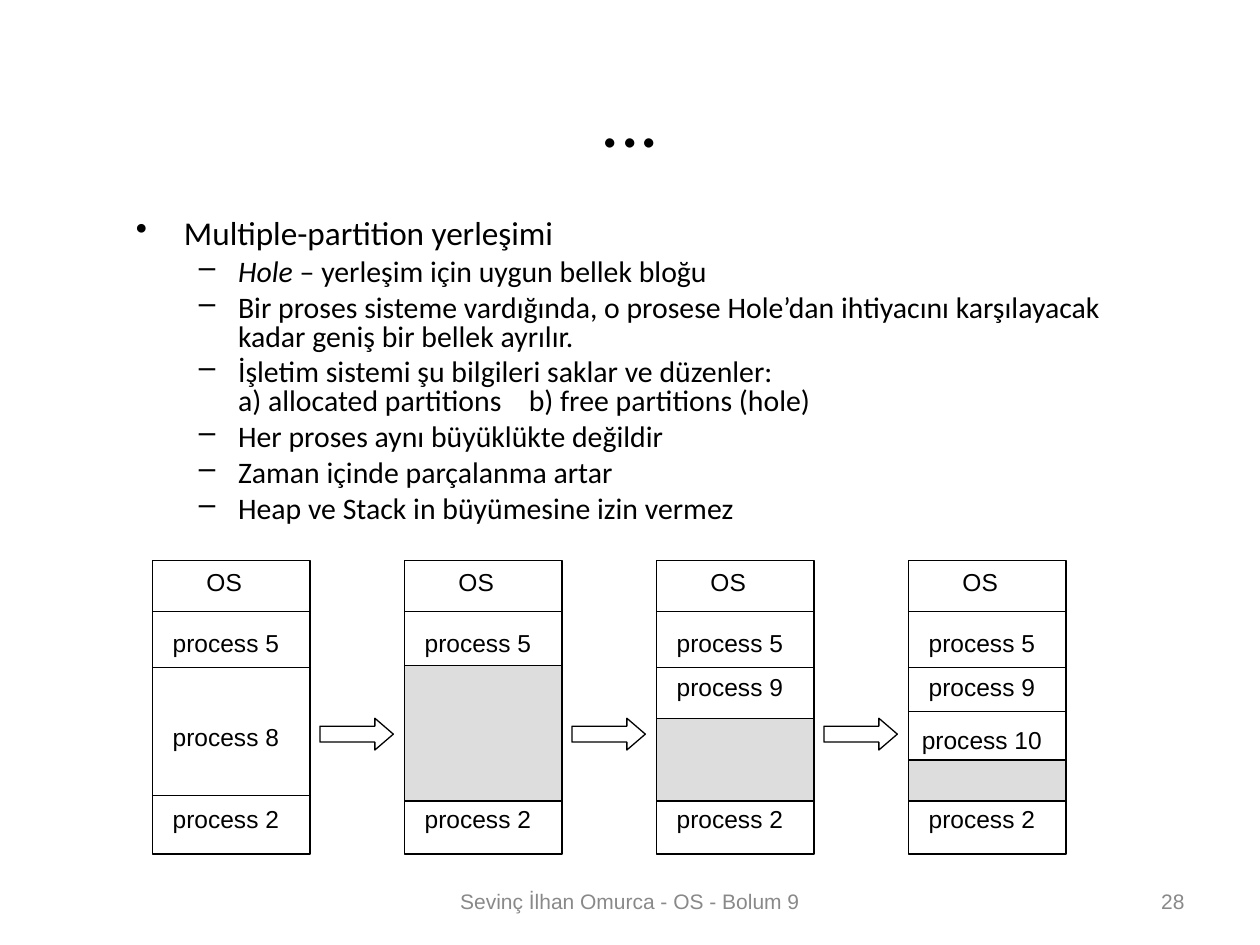
import dataclasses

import lxml.etree
import pptx
import pptx.dml.color
import pptx.enum.shapes
import pptx.enum.text
import pptx.oxml.ns
import pptx.util

Cm = pptx.util.Cm
Pt = pptx.util.Pt
Align = pptx.enum.text.PP_ALIGN
Anchor = pptx.enum.text.MSO_ANCHOR
ShapeKind = pptx.enum.shapes.MSO_SHAPE
qn = pptx.oxml.ns.qn

BLACK, WHITE, GREY, HOLE_GREY = "000000", "FFFFFF", "898989", "DDDDDD"
FIRST_LEFT, COLUMN_STEP, COLUMN_WIDTH = 3.07, 5.08, 3.18
MEMORY_TOP, MEMORY_HEIGHT = 11.3, 5.92
HOLE_BOTTOM = 16.15
LABEL_WIDTH, LABEL_HEIGHT = 2.97, 0.86
DIVIDERS = (12.32, 13.46, 16.03)
PARTITIONS_TAB = 7.92


@dataclasses.dataclass
class Label:
    text: str
    top: float


@dataclasses.dataclass
class MemoryState:
    labels: list[Label]
    hole_top: float | None = None
    extra_dividers: tuple[float, ...] = ()


@dataclasses.dataclass
class Level:
    margin: float
    hanging: float
    bullet: str
    size: float
    space_before: float


@dataclasses.dataclass
class Point:
    text: str
    level: int = 1
    italic_start: str = ""


PROCESS_9 = Label("process 9", 13.41)
STATES = [
    MemoryState([Label("process 8", 14.43)]),
    MemoryState([], 13.41),
    MemoryState([PROCESS_9], 14.48),
    MemoryState([PROCESS_9, Label("process 10", 14.48)], 15.32, (14.35,)),
]
COMMON_LABELS = [Label("process 5", 12.52), Label("process 2", 16.08)]

LEVELS = [Level(0.97, 0.97, "•", 19, 4.8), Level(2.06, 0.79, "–", 17, 4.2)]
POINTS = [
    Point("Multiple-partition yerleşimi", 0),
    Point(" – yerleşim için uygun bellek bloğu", italic_start="Hole"),
    Point("Bir proses sisteme vardığında, o prosese Hole’dan ihtiyacını "
          "karşılayacak kadar geniş bir bellek ayrılır."),
    Point("İşletim sistemi şu bilgileri saklar ve düzenler:\n"
          "a) allocated partitions\tb) free partitions (hole)"),
    Point("Her proses aynı büyüklükte değildir"),
    Point("Zaman içinde parçalanma artar"),
    Point("Heap ve Stack in büyümesine izin vermez"),
]


def set_color(color_format, value: str) -> None:
    color_format.rgb = pptx.dml.color.RGBColor.from_string(value)


def set_font(paragraph, name: str, size: float, color: str) -> None:
    paragraph.font.name = name
    paragraph.font.size = Pt(size)
    set_color(paragraph.font.color, color)


def add_text(slide, text: str, left: float, top: float, width: float, height: float,
             size: float, font: str = "Arial", color: str = BLACK,
             align=Align.CENTER, wrap: bool = True, grow: bool = False) -> None:
    frame = slide.shapes.add_textbox(Cm(left), Cm(top), Cm(width), Cm(height)).text_frame
    frame.word_wrap = wrap
    frame.vertical_anchor = Anchor.MIDDLE
    if grow:
        frame.auto_size = pptx.enum.text.MSO_AUTO_SIZE.SHAPE_TO_FIT_TEXT
    paragraph = frame.paragraphs[0]
    paragraph.text = text
    paragraph.alignment = align
    set_font(paragraph, font, size, color)


def add_block(slide, kind, left: float, top: float, width: float, height: float,
              fill: str = WHITE):
    shape = slide.shapes.add_shape(kind, Cm(left), Cm(top), Cm(width), Cm(height))
    shape.shadow.inherit = False
    shape.fill.solid()
    set_color(shape.fill.fore_color, fill)
    set_color(shape.line.color, BLACK)
    shape.line.width = Pt(0.75)
    return shape


def add_divider(slide, left: float, top: float) -> None:
    connector = slide.shapes.add_connector(
        pptx.enum.shapes.MSO_CONNECTOR.STRAIGHT,
        Cm(left), Cm(top), Cm(left + COLUMN_WIDTH), Cm(top))
    set_color(connector.line.color, BLACK)
    connector.line.width = Pt(0.75)
    lxml.etree.SubElement(connector._element.spPr, qn("a:effectLst"))


def add_bullet(paragraph, level: Level) -> None:
    properties = paragraph._p.get_or_add_pPr()
    properties.set("marL", str(Cm(level.margin)))
    properties.set("indent", str(-Cm(level.hanging)))
    lxml.etree.SubElement(properties, qn("a:buChar"), char=level.bullet)


def add_tab(paragraph, position: float) -> None:
    tabs = lxml.etree.SubElement(paragraph._p.get_or_add_pPr(), qn("a:tabLst"))
    lxml.etree.SubElement(tabs, qn("a:tab"), pos=str(Cm(position)), algn="l")


def add_points(slide, points: list[Point]) -> None:
    frame = slide.shapes.add_textbox(Cm(2.49), Cm(4.32), Cm(21), Cm(6.8)).text_frame
    frame.word_wrap = True
    for index, point in enumerate(points):
        paragraph = frame.add_paragraph() if index else frame.paragraphs[0]
        level = LEVELS[point.level]
        paragraph.level = point.level
        if point.italic_start:
            run = paragraph.add_run()
            run.text = point.italic_start
            run.font.italic = True
            paragraph.add_run().text = point.text
        else:
            paragraph.text = point.text
        add_bullet(paragraph, level)
        if "\t" in point.text:
            add_tab(paragraph, PARTITIONS_TAB)
        paragraph.line_spacing = 0.8
        if index:
            paragraph.space_before = Pt(level.space_before)
        set_font(paragraph, "Calibri", level.size, BLACK)


def add_memory(slide, state: MemoryState, left: float) -> None:
    add_block(slide, ShapeKind.RECTANGLE, left, MEMORY_TOP, COLUMN_WIDTH, MEMORY_HEIGHT)
    for top in DIVIDERS + state.extra_dividers:
        add_divider(slide, left, top)
    if state.hole_top is not None:
        add_block(slide, ShapeKind.RECTANGLE, left, state.hole_top, COLUMN_WIDTH,
                  HOLE_BOTTOM - state.hole_top, HOLE_GREY)
    add_text(slide, "OS", left + 0.84, MEMORY_TOP, 1.22, LABEL_HEIGHT, 14,
             wrap=False, grow=True)
    for label in COMMON_LABELS + state.labels:
        add_text(slide, label.text, left, label.top, LABEL_WIDTH, LABEL_HEIGHT, 14,
                 grow=True)


def add_step_arrow(slide, left: float) -> None:
    arrow = add_block(slide, ShapeKind.RIGHT_ARROW, left, 14.48, 1.48, 0.64)
    arrow.adjustments[1] = 0.58


def main() -> None:
    presentation = pptx.Presentation()
    presentation.slide_width = Cm(25.4)
    presentation.slide_height = Cm(19.05)
    slide = presentation.slides.add_slide(presentation.slide_layouts[6])

    add_text(slide, "...", 1.27, 0.76, 22.86, 3.18, 44, "Calibri")
    add_points(slide, POINTS)
    for index, state in enumerate(STATES):
        left = FIRST_LEFT + index * COLUMN_STEP
        add_memory(slide, state, left)
        if index < len(STATES) - 1:
            add_step_arrow(slide, left + COLUMN_WIDTH + 0.2)
    add_text(slide, "Sevinç İlhan Omurca - OS - Bolum 9", 8.68, 17.65, 8.04, 1.02, 12,
             color=GREY)
    add_text(slide, "28", 18.21, 17.65, 5.92, 1.02, 12, color=GREY, align=Align.RIGHT)

    presentation.save("out.pptx")


if __name__ == "__main__":
    main()
